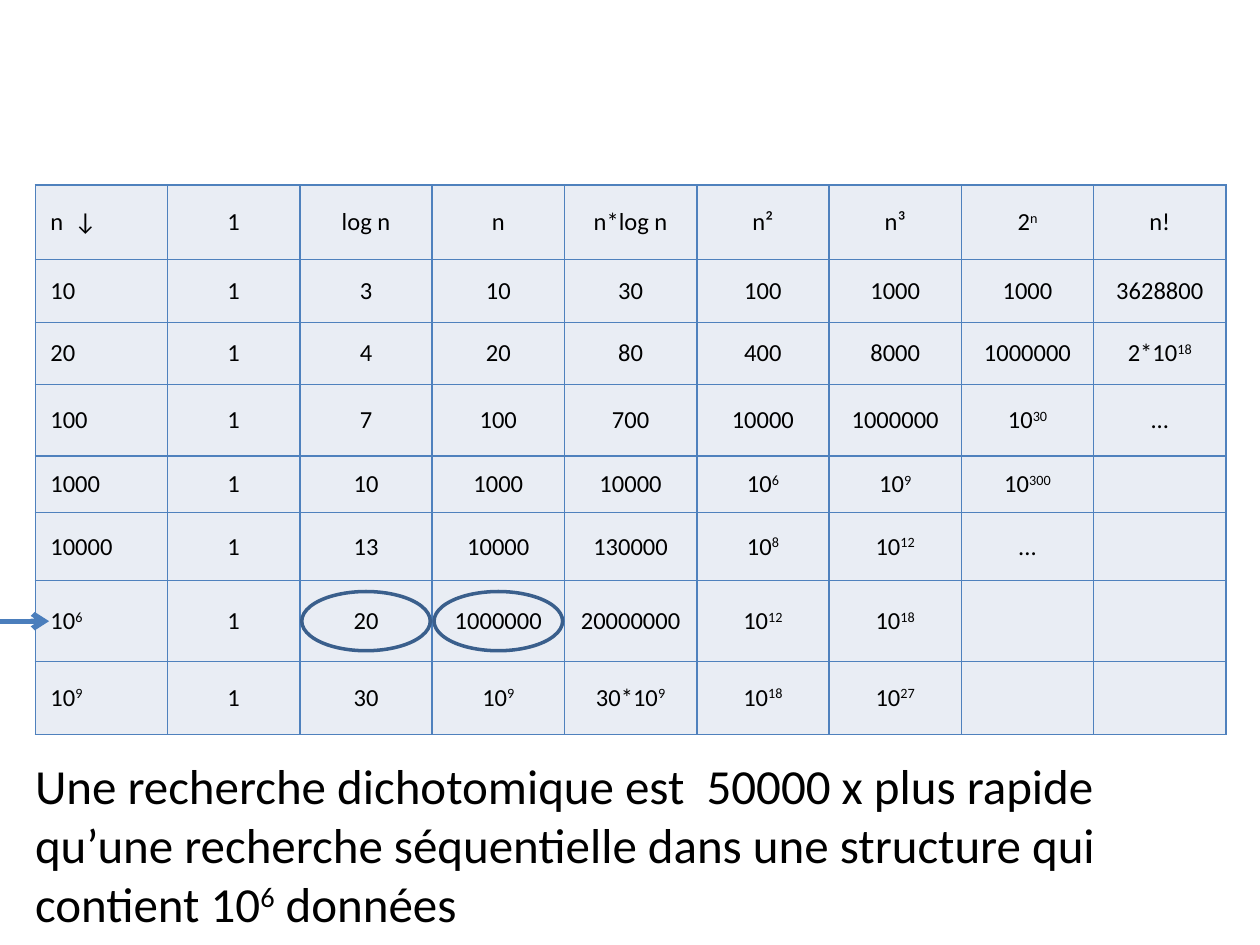
from dataclasses import dataclass
from itertools import accumulate

import pptx
import pptx.dml.color
import pptx.enum.shapes
import pptx.enum.text
import pptx.oxml.ns
import pptx.util
from lxml import etree

Inches = pptx.util.Inches
Pt = pptx.util.Pt
RGBColor = pptx.dml.color.RGBColor
ALIGN = pptx.enum.text.PP_ALIGN
qn = pptx.oxml.ns.qn

BLACK = RGBColor(0x00, 0x00, 0x00)
CELL_FILL = RGBColor(0xE9, 0xED, 0xF4)
BORDER = RGBColor(0x4F, 0x81, 0xBD)
RING = RGBColor(0x3A, 0x5F, 0x8C)
ARROW = RGBColor(0x4B, 0x7E, 0xBC)

SLIDE_WIDTH, SLIDE_HEIGHT = 10, 7.5
GRID_LEFT, GRID_TOP, COLUMN_WIDTH = 0.28, 1.47, 1.05
ROW_HEIGHTS = [0.59, 0.5, 0.49, 0.57, 0.45, 0.54, 0.64, 0.58]
ROW_TOPS = list(accumulate(ROW_HEIGHTS, initial=GRID_TOP))
MILLION_ROW = 6

GROWTH = [
    ["n  ↓", "1", "log n", "n", "n*log n", "n²", "n³", "2^n", "n!"],
    ["10", "1", "3", "10", "30", "100", "1000", "1000", "3628800"],
    ["20", "1", "4", "20", "80", "400", "8000", "1000000", "2*10^18"],
    ["100", "1", "7", "100", "700", "10000", "1000000", "10^30", "..."],
    ["1000", "1", "10", "1000", "10000", "10^6", "10^9", "10^300", ""],
    ["10000", "1", "13", "10000", "130000", "10^8", "10^12", "...", ""],
    ["10^6", "1", "20", "1000000", "20000000", "10^12", "10^18", "", ""],
    ["10^9", "1", "30", "10^9", "30*10^9", "10^18", "10^27", "", ""],
]
CONCLUSION = (
    "Une recherche dichotomique est  50000 x plus rapide qu’une recherche "
    "séquentielle dans une structure qui contient 10^6^ données"
)


@dataclass(frozen=True)
class Ring:
    column: int
    row: int
    width: float = 1.02
    height: float = 0.47


RINGS = [Ring(2, MILLION_ROW), Ring(3, MILLION_ROW)]


def write_powers(paragraph, marked: str, size: float) -> None:
    for index, part in enumerate(marked.split("^")):
        run = paragraph.add_run()
        run.text = part
        run.font.size = Pt(size)
        run.font.name = "Calibri"
        run.font.color.rgb = BLACK
        if index % 2:
            run._r.get_or_add_rPr().set("baseline", "30000")


def add_borders(cell) -> None:
    properties = cell._tc.get_or_add_tcPr()
    for position, side in enumerate(("lnL", "lnR", "lnT", "lnB")):
        line = etree.Element(qn(f"a:{side}"), w=str(Pt(1)))
        fill = etree.SubElement(line, qn("a:solidFill"))
        etree.SubElement(fill, qn("a:srgbClr"), val=str(BORDER))
        properties.insert(position, line)


def format_cell(cell, marked: str, alignment) -> None:
    cell.fill.solid()
    cell.fill.fore_color.rgb = CELL_FILL
    add_borders(cell)
    cell.vertical_anchor = pptx.enum.text.MSO_ANCHOR.MIDDLE
    cell.margin_left = cell.margin_right = Inches(0.12)
    cell.margin_top = cell.margin_bottom = 0
    if marked:
        paragraph = cell.text_frame.paragraphs[0]
        paragraph.alignment = alignment
        paragraph.space_after = Pt(12)
        write_powers(paragraph, marked, 14)


def add_growth_table(slide) -> None:
    columns = len(GROWTH[0])
    table = slide.shapes.add_table(
        len(GROWTH), columns, Inches(GRID_LEFT), Inches(GRID_TOP),
        Inches(columns * COLUMN_WIDTH), Inches(sum(ROW_HEIGHTS)),
    ).table
    table.first_row = table.horz_banding = False
    for column in table.columns:
        column.width = Inches(COLUMN_WIDTH)
    for row, height, values in zip(table.rows, ROW_HEIGHTS, GROWTH):
        row.height = Inches(height)
        for index, (cell, marked) in enumerate(zip(row.cells, values)):
            format_cell(cell, marked, ALIGN.CENTER if index else ALIGN.LEFT)


def add_ring(slide, ring: Ring) -> None:
    left = GRID_LEFT + ring.column * COLUMN_WIDTH + (COLUMN_WIDTH - ring.width) / 2
    top = ROW_TOPS[ring.row] + (ROW_HEIGHTS[ring.row] - ring.height) / 2
    ellipse = slide.shapes.add_shape(
        pptx.enum.shapes.MSO_SHAPE.OVAL,
        Inches(left), Inches(top), Inches(ring.width), Inches(ring.height),
    )
    ellipse.shadow.inherit = False
    ellipse.fill.background()
    ellipse.line.color.rgb = RING
    ellipse.line.width = Pt(2)


def add_conclusion(slide) -> None:
    conclusion = slide.shapes.add_textbox(
        Inches(0.018 * SLIDE_WIDTH), Inches(0.793 * SLIDE_HEIGHT),
        Inches(0.913 * SLIDE_WIDTH), Inches(0.201 * SLIDE_HEIGHT),
    )
    frame = conclusion.text_frame
    frame.word_wrap = True
    frame.auto_size = pptx.enum.text.MSO_AUTO_SIZE.SHAPE_TO_FIT_TEXT
    write_powers(frame.paragraphs[0], CONCLUSION, 28)


def add_row_arrow(slide, row: int) -> None:
    middle = Inches(ROW_TOPS[row] + ROW_HEIGHTS[row] / 2)
    arrow = slide.shapes.add_connector(
        pptx.enum.shapes.MSO_CONNECTOR.STRAIGHT,
        Inches(-0.004 * SLIDE_WIDTH), middle, Inches(0.039 * SLIDE_WIDTH), middle,
    )
    arrow.line.color.rgb = ARROW
    arrow.line.width = Pt(3)
    etree.SubElement(arrow.line._get_or_add_ln(), qn("a:tailEnd"), type="arrow")
    etree.SubElement(arrow._element.spPr, qn("a:effectLst"))


def main() -> None:
    presentation = pptx.Presentation()
    presentation.slide_width = Inches(SLIDE_WIDTH)
    presentation.slide_height = Inches(SLIDE_HEIGHT)
    slide = presentation.slides.add_slide(presentation.slide_layouts[6])
    add_growth_table(slide)
    add_conclusion(slide)
    for ring in RINGS:
        add_ring(slide, ring)
    add_row_arrow(slide, MILLION_ROW)
    presentation.save("out.pptx")


if __name__ == "__main__":
    main()
